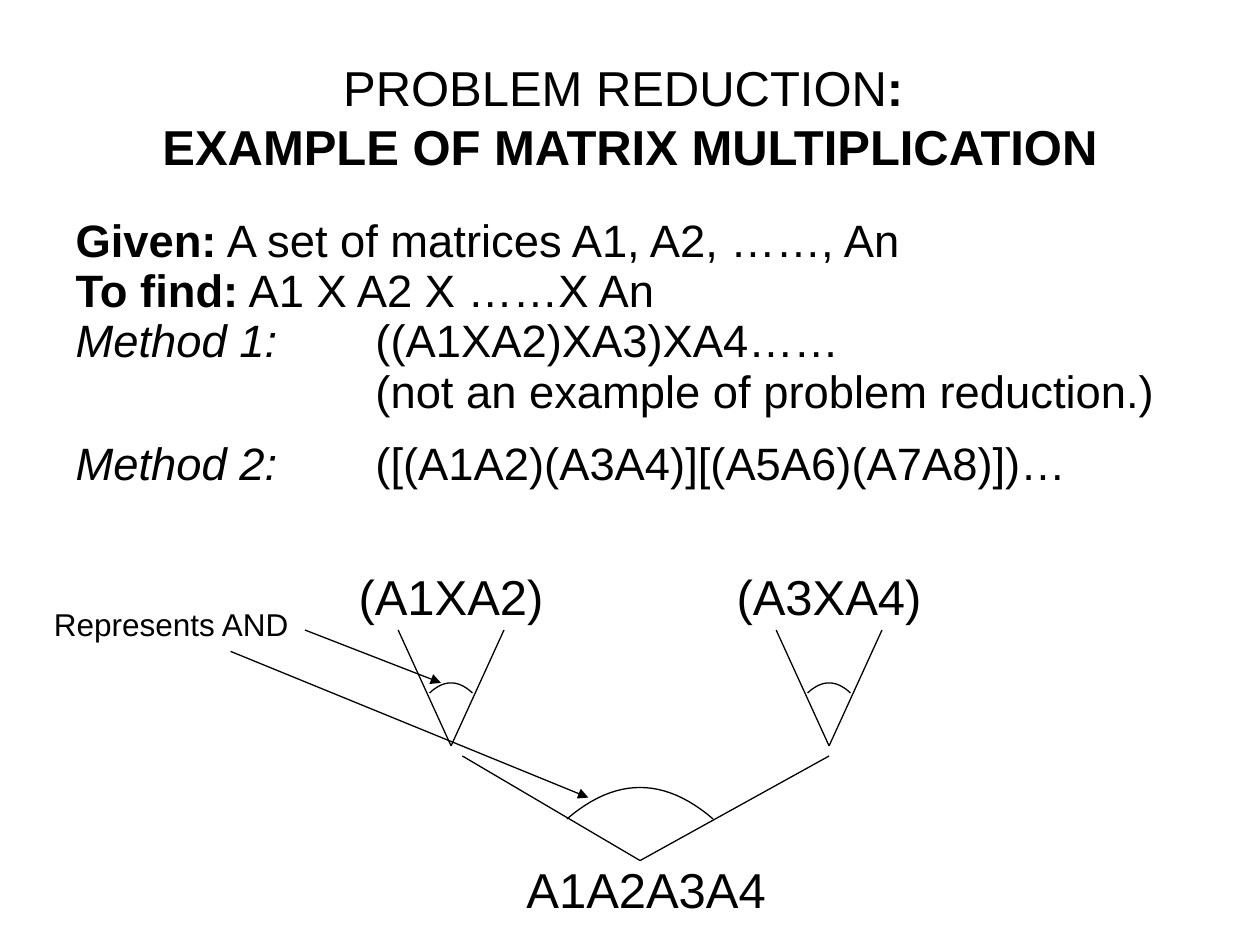
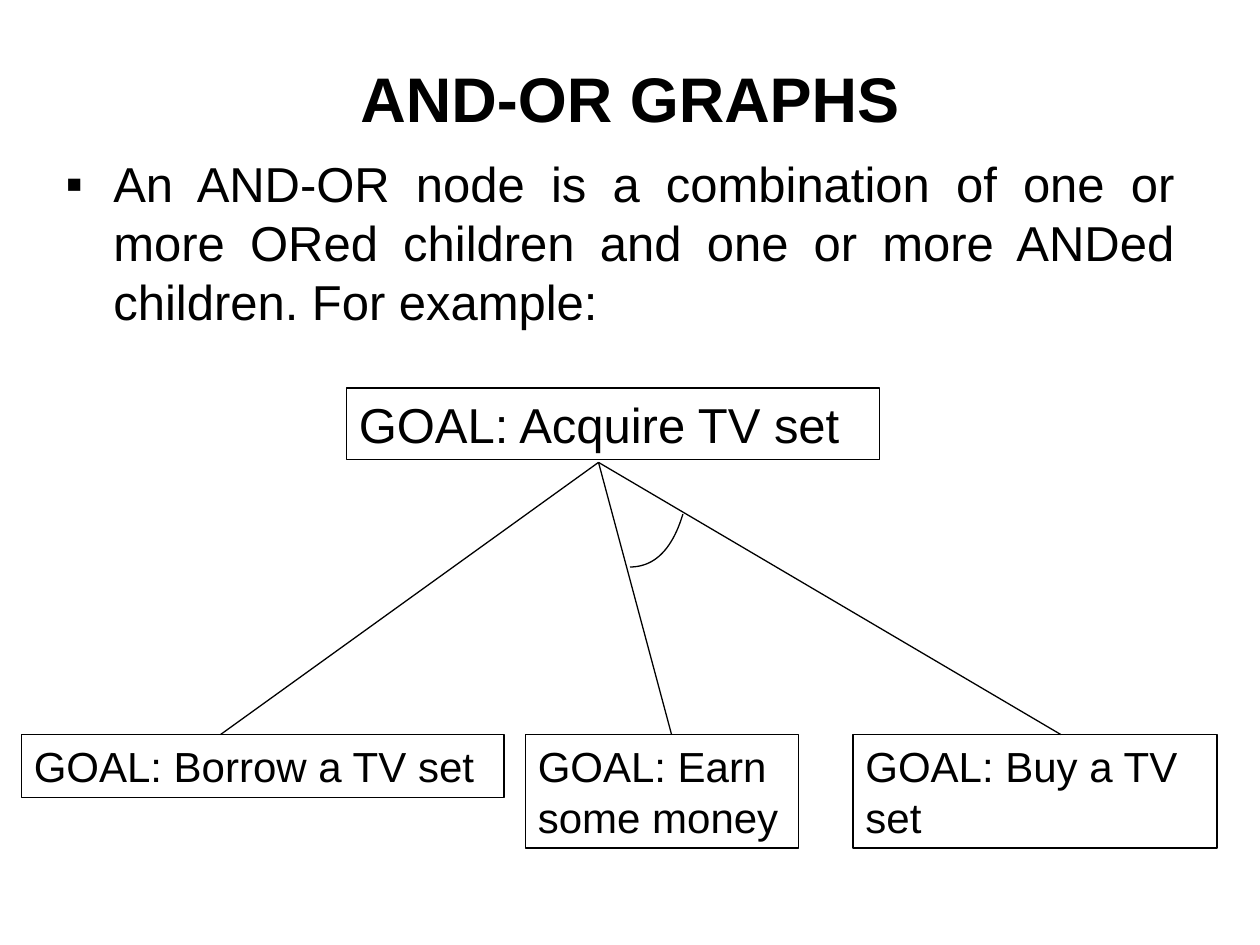
from lxml import etree
from pptx import Presentation
from pptx.dml.color import RGBColor
from pptx.enum.shapes import MSO_CONNECTOR, MSO_SHAPE
from pptx.enum.text import MSO_ANCHOR, MSO_AUTO_SIZE, PP_ALIGN
from pptx.oxml.ns import qn
from pptx.util import Inches, Pt

FONT = "Arial"
BLACK = "000000"
LINE_WIDTH = 0.75
HANG = 0.38
METHOD_INDENT = 2.38
STRAIGHT = MSO_CONNECTOR.STRAIGHT
RECTANGLE = MSO_SHAPE.RECTANGLE
LEFT, CENTER, JUSTIFY = PP_ALIGN.LEFT, PP_ALIGN.CENTER, PP_ALIGN.JUSTIFY
TOP, MIDDLE = MSO_ANCHOR.TOP, MSO_ANCHOR.MIDDLE
NO_AUTOFIT = MSO_AUTO_SIZE.NONE


def color(hex_code):
    """Turn a hex string into a colour."""
    return RGBColor.from_string(hex_code)


def place(shape, box):
    """Move a shape to a left, top, width, height box in inches."""
    shape.left, shape.top, shape.width, shape.height = map(Inches, box)


def prepare_frame(shape, anchor=TOP):
    """Give a shape's text frame the shared wrapping, fitting and anchor."""
    frame = shape.text_frame
    frame.word_wrap = True
    frame.auto_size = NO_AUTOFIT
    frame.vertical_anchor = anchor
    return frame


def write(paragraph, pieces, size, align=LEFT, spacing=1.0, before=0):
    """Fill a paragraph with (text, style) pieces, style being '', 'b' or 'i'."""
    paragraph.alignment = align
    paragraph.line_spacing = spacing
    paragraph.space_before = Pt(before)
    for text, style in pieces:
        run = paragraph.add_run()
        run.text = text
        run.font.name = FONT
        run.font.size = Pt(size)
        run.font.bold = style == "b"
        run.font.italic = style == "i"
        run.font.color.rgb = color(BLACK)


def set_indent(paragraph, margin, first_line, bullet=None):
    """Set the indents of a paragraph and its bullet, if any."""
    properties = paragraph._p.get_or_add_pPr()
    properties.set("marL", str(Inches(margin)))
    properties.set("indent", str(Inches(first_line)))
    if bullet is None:
        etree.SubElement(properties, qn("a:buNone"))
        return
    bullet_color = etree.SubElement(properties, qn("a:buClr"))
    etree.SubElement(bullet_color, qn("a:srgbClr"), val=BLACK)
    etree.SubElement(properties, qn("a:buFont"), typeface=FONT)
    etree.SubElement(properties, qn("a:buChar"), char=bullet)


def add_title(slide, box, lines, size):
    """Fill the title placeholder with centred lines."""
    place(slide.shapes.title, box)
    frame = prepare_frame(slide.shapes.title, MIDDLE)
    for index, pieces in enumerate(lines):
        paragraph = frame.add_paragraph() if index else frame.paragraphs[0]
        write(paragraph, pieces, size, CENTER)


def add_label(slide, box, text, size, align=LEFT, spacing=1.0):
    """Add a plain text label."""
    label = slide.shapes.add_textbox(*map(Inches, box))
    write(prepare_frame(label).paragraphs[0], [(text, "")], size, align, spacing)


def add_goal(slide, box, text, size):
    """Add an outlined goal box."""
    goal = slide.shapes.add_shape(RECTANGLE, *map(Inches, box))
    goal.shadow.inherit = False
    goal.fill.background()
    goal.line.color.rgb = color(BLACK)
    goal.line.width = Pt(LINE_WIDTH)
    write(prepare_frame(goal).paragraphs[0], [(text, "")], size)


def add_line(slide, start, end, arrow=False):
    """Draw a thin line between two points, with an arrowhead if asked."""
    line = slide.shapes.add_connector(STRAIGHT, *map(Inches, (*start, *end)))
    line.line.color.rgb = color(BLACK)
    line.line.width = Pt(LINE_WIDTH)
    if arrow:
        etree.SubElement(line.line._get_or_add_ln(), qn("a:tailEnd"), type="triangle")
    etree.SubElement(line._element.spPr, qn("a:effectLst"))


def add_arc(slide, controls, steps=24):
    """Draw an open cubic curve through four control points."""
    points = []
    for step in range(steps + 1):
        t = step / steps
        weights = ((1 - t) ** 3, 3 * t * (1 - t) ** 2, 3 * t * t * (1 - t), t ** 3)
        points.append(tuple(Inches(sum(weight * value for weight, value in zip(weights, axis)))
                            for axis in zip(*controls)))
    builder = slide.shapes.build_freeform(*points[0])
    builder.add_line_segments(points[1:], close=False)
    arc = builder.convert_to_shape()
    arc.shadow.inherit = False
    arc.fill.background()
    arc.line.color.rgb = color(BLACK)
    arc.line.width = Pt(LINE_WIDTH)


def add_and_branch(slide, apex, ends, arc_half, arc_base, arc_rise):
    """Draw two lines up from an apex, joined by an arc meaning AND."""
    x, y = apex
    for end in ends:
        add_line(slide, apex, end)
    base = y - arc_base
    crest = base - arc_rise * 4 / 3
    add_arc(slide, [(x - arc_half, base), (x - arc_half / 3, crest),
                    (x + arc_half / 3, crest), (x + arc_half, base)])


def add_matrix_methods(slide, box):
    """Fill the body with the matrix problem and its two methods."""
    body = slide.placeholders[1]
    place(body, box)
    frame = prepare_frame(body)
    rows = [
        ([("Given:", "b"), (" A set of matrices A1, A2, ……, An", "")], HANG, -HANG, 7),
        ([("To find:", "b"), (" A1 X A2 X ……X An", "")], HANG, -HANG, 7),
        ([("Method 1:\t", "i"), ("((A1XA2)XA3)XA4……", "")], METHOD_INDENT, -METHOD_INDENT, 7),
        ([("(not an example of problem reduction.)", "")], METHOD_INDENT, 0, 7),
        ([("Method 2:\t", "i"), ("([(A1A2)(A3A4)][(A5A6)(A7A8)])…", "")],
         METHOD_INDENT, -METHOD_INDENT, 19.4),
    ]
    for index, (pieces, margin, first_line, before) in enumerate(rows):
        paragraph = frame.add_paragraph() if index else frame.paragraphs[0]
        write(paragraph, pieces, 25.9, spacing=0.7, before=before)
        set_indent(paragraph, margin, first_line)


def add_reduction_tree(slide, left, top):
    """Draw the product tree with its AND arcs and their explanation."""
    for text, x in (("(A1XA2)", left + 3.25), ("(A3XA4)", left + 6.25)):
        add_label(slide, (x - 1, top, 2, 0.52), text, 28, CENTER, 0.9)
        ends = [(x - 0.42, top + 0.5), (x + 0.42, top + 0.5)]
        add_and_branch(slide, (x, top + 1.42), ends, 0.17, 0.42, 0.08)
    root = (left + 4.75, top + 2.33)
    ends = [(left + 3.34, top + 1.5), (left + 6.25, top + 1.5)]
    add_and_branch(slide, root, ends, 0.58, 0.33, 0.25)
    add_label(slide, (left + 3.75, top + 2.36, 2.17, 0.48), "A1A2A3A4", 28, spacing=0.8)
    add_label(slide, (left, top + 0.25, 2.17, 0.4), "Represents AND", 18)
    add_line(slide, (left + 2.09, top + 0.5), (left + 3.17, top + 0.92), arrow=True)
    add_line(slide, (left + 1.5, top + 0.67), (left + 4.34, top + 1.83), arrow=True)


def add_definition(slide, box):
    """Fill the body with the bulleted definition."""
    body = slide.placeholders[1]
    place(body, box)
    paragraph = prepare_frame(body).paragraphs[0]
    text = ("An AND-OR node is a combination of one or more ORed children "
            "and one or more ANDed children. For example:")
    write(paragraph, [(text, "")], 28, JUSTIFY, before=7)
    set_indent(paragraph, HANG, -HANG, "▪")


def add_goal_graph(slide, left, top):
    """Draw the main goal, its three subgoals and the AND arc."""
    add_goal(slide, (left + 2.58, top, 4.23, 0.57), "GOAL: Acquire TV set", 28)
    x, y = left + 4.58, top + 0.59
    row = top + 2.75
    subgoals = [
        ("GOAL: Borrow a TV set", 0, 3.83, 0.5, 1.58),
        ("GOAL: Earn some money", 4, 2.17, 0.9, 5.16),
        ("GOAL: Buy a TV set", 6.6, 2.89, 0.9, 8.25),
    ]
    for text, offset, width, height, link in subgoals:
        add_goal(slide, (left + offset, row, width, height), text, 24)
        add_line(slide, (x, y), (left + link, row))
    add_arc(slide, [(x + 0.25, y + 0.83), (x + 0.43, y + 0.83),
                    (x + 0.58, y + 0.71), (x + 0.67, y + 0.41)])


def build_matrix_slide(presentation):
    """Build the matrix multiplication slide."""
    slide = presentation.slides.add_slide(presentation.slide_layouts[1])
    lines = [[("PROBLEM REDUCTION", ""), (": ", "b")],
             [("EXAMPLE OF MATRIX MULTIPLICATION", "b")]]
    add_title(slide, (0.5, 0.3, 9, 1.25), lines, 28)
    add_matrix_methods(slide, (0.5, 1.75, 9, 2.58))
    add_reduction_tree(slide, 0.33, 4.5)


def build_graph_slide(presentation):
    """Build the AND-OR graph slide."""
    slide = presentation.slides.add_slide(presentation.slide_layouts[1])
    add_title(slide, (0.5, 0.3, 9, 0.95), [[("AND-OR GRAPHS", "b")]], 36)
    add_definition(slide, (0.42, 1.17, 9, 1.83))
    add_goal_graph(slide, 0.17, 3.08)


def main():
    """Build and save the presentation."""
    presentation = Presentation()
    presentation.slide_width = Inches(10)
    presentation.slide_height = Inches(7.5)
    build_matrix_slide(presentation)
    build_graph_slide(presentation)
    presentation.save("out.pptx")


if __name__ == "__main__":
    main()
